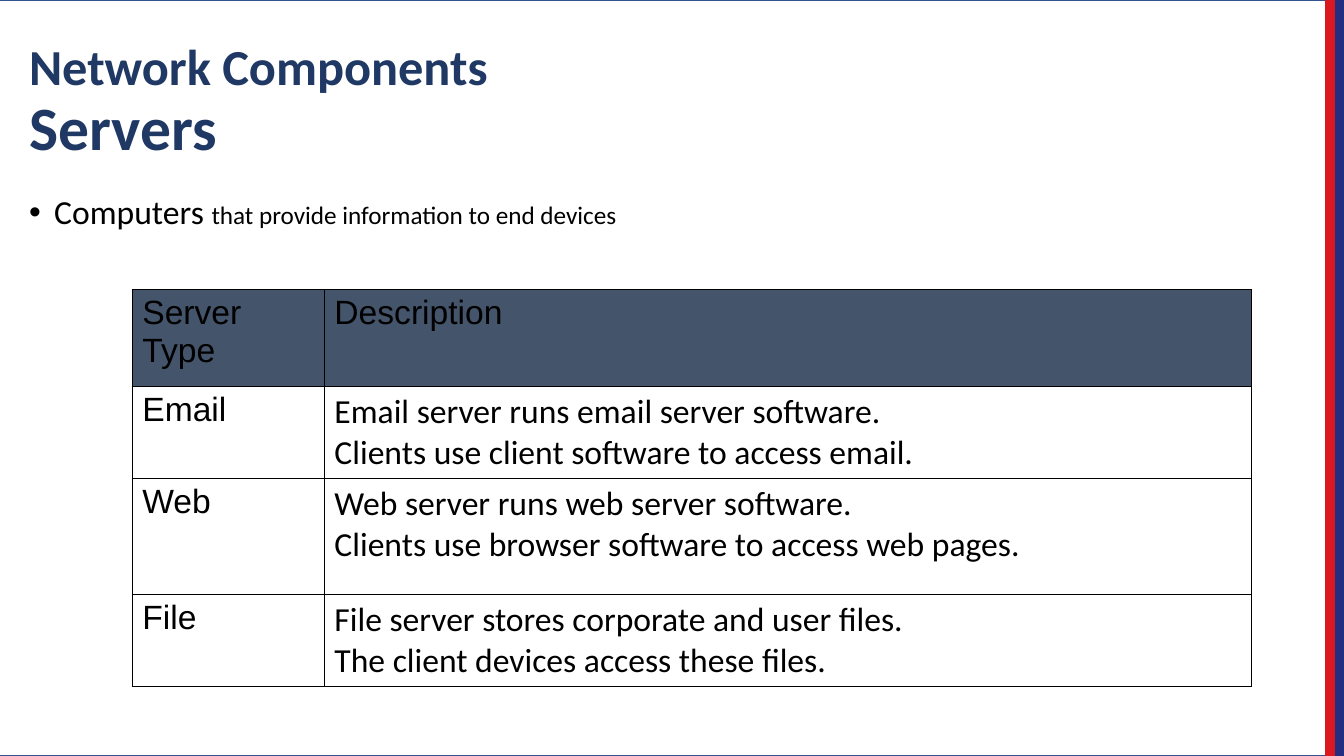
"""Build the slide about servers as network components."""
from lxml import etree
from pptx import Presentation
from pptx import util as u
from pptx.dml import color
from pptx.enum import shapes, text
from pptx.oxml import ns

Pt = u.Pt


def rgb(code):
    return color.RGBColor.from_string(code)


def add_run(para, words, size, code="000000", font="Calibri", bold=False):
    run = para.add_run()
    run.text = words
    run.font.size = Pt(size)
    run.font.name = font
    run.font.bold = bold
    run.font.color.rgb = rgb(code)


deck = Presentation()
deck.slide_width, deck.slide_height = Pt(960), Pt(540)
slide = deck.slides.add_slide(deck.slide_layouts[6])

panels = [(-6.6, 953.4, "FFFFFF", "31538F"),
          (953.4, 6.6, "232D82", "232D82"),
          (946.8, 6.6, "DA1820", "DA1820")]
for left, width, fill, line in panels:
    panel = slide.shapes.add_shape(shapes.MSO_SHAPE.RECTANGLE, Pt(left), 0, Pt(width), Pt(540))
    panel.shadow.inherit = False
    panel.fill.solid()
    panel.fill.fore_color.rgb = rgb(fill)
    panel.line.color.rgb = rgb(line)
    panel.line.width = Pt(1)

paras = []
for top, height, anchor in [(15.84, 104.4, text.MSO_ANCHOR.BOTTOM),
                            (136.08, 40, text.MSO_ANCHOR.TOP)]:
    frame = slide.shapes.add_textbox(Pt(13.68), Pt(top), Pt(880), Pt(height)).text_frame
    frame.word_wrap = True
    frame.vertical_anchor = anchor
    para = frame.paragraphs[0]
    para.line_spacing = 0.9
    paras.append(para)

title, body = paras
add_run(title, "Network Components", 36, "1F3864", bold=True)
title.add_line_break()
add_run(title, "Servers", 44, "1F3864", bold=True)

add_run(body, "Computers ", 24)
add_run(body, "that provide information to end devices", 18)
props = body._p.get_or_add_pPr()
props.set("marL", str(Pt(18)))
props.set("indent", str(Pt(-18)))
etree.SubElement(props, ns.qn("a:buFont"), typeface="Arial")
etree.SubElement(props, ns.qn("a:buChar"), char="•")

rows = [
    (69, "Server Type", ["Description"]),
    (65.8, "Email", ["Email server runs email server software.",
                     "Clients use client software to access email."]),
    (83, "Web", ["Web server runs web server software.",
                 "Clients use browser software to access web pages."]),
    (65.8, "File", ["File server stores corporate and user files.",
                    "The client devices access these files."]),
]
total = sum(row[0] for row in rows)
table = slide.shapes.add_table(len(rows), 2, Pt(94.5), Pt(206.8), Pt(799.5), Pt(total)).table
table.columns[0].width, table.columns[1].width = Pt(137.2), Pt(662.3)

for r, (height, kind, lines) in enumerate(rows):
    table.rows[r].height = Pt(height)
    for c, words in enumerate([[kind], lines]):
        cell = table.cell(r, c)
        props = cell._tc.get_or_add_tcPr()
        for side in ("lnL", "lnR", "lnT", "lnB"):
            edge = etree.SubElement(props, ns.qn("a:" + side), w=str(Pt(1)))
            paint = etree.SubElement(edge, ns.qn("a:solidFill"))
            etree.SubElement(paint, ns.qn("a:srgbClr"), val="000000")
        if r == 0:
            cell.fill.solid()
            cell.fill.fore_color.rgb = rgb("44546A")
        else:
            cell.fill.background()
        font = "Arial" if r == 0 or c == 0 else "Calibri"
        for n, line in enumerate(words):
            para = cell.text_frame.add_paragraph() if n else cell.text_frame.paragraphs[0]
            add_run(para, line, 24, font=font)

deck.save("out.pptx")
